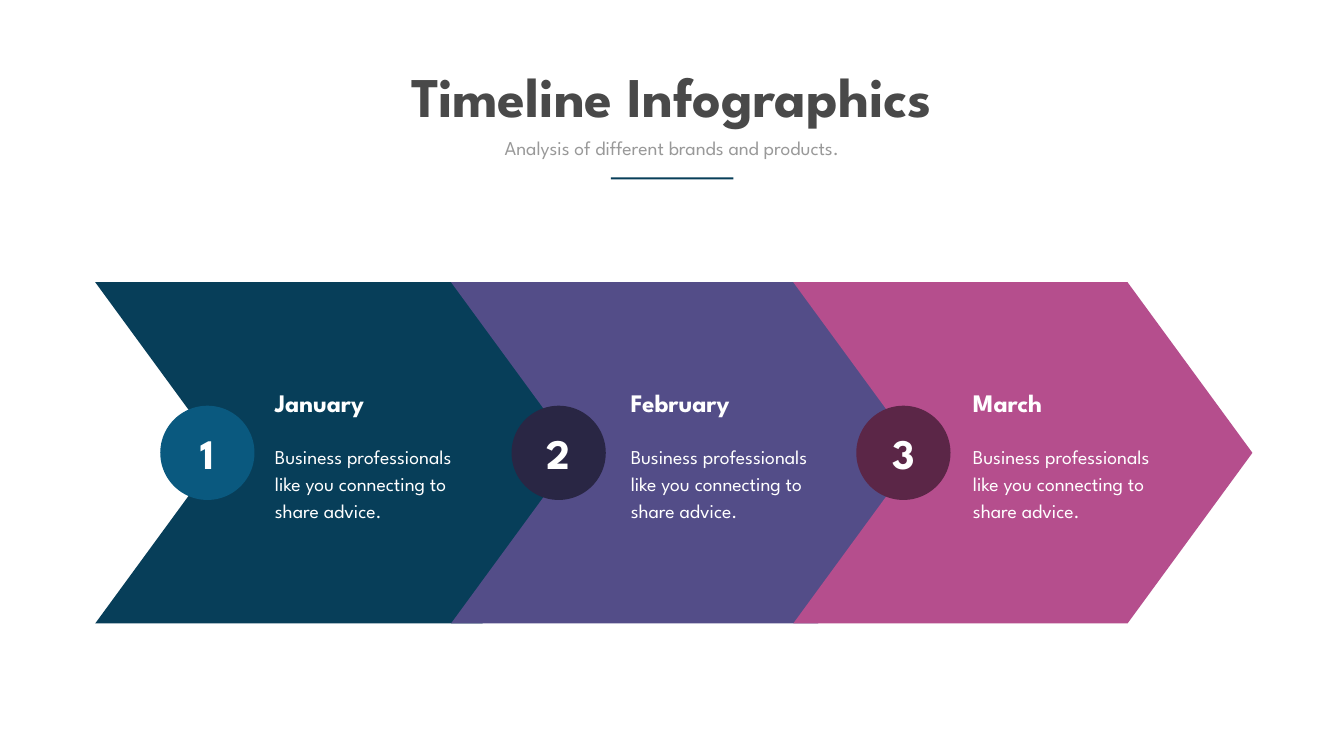
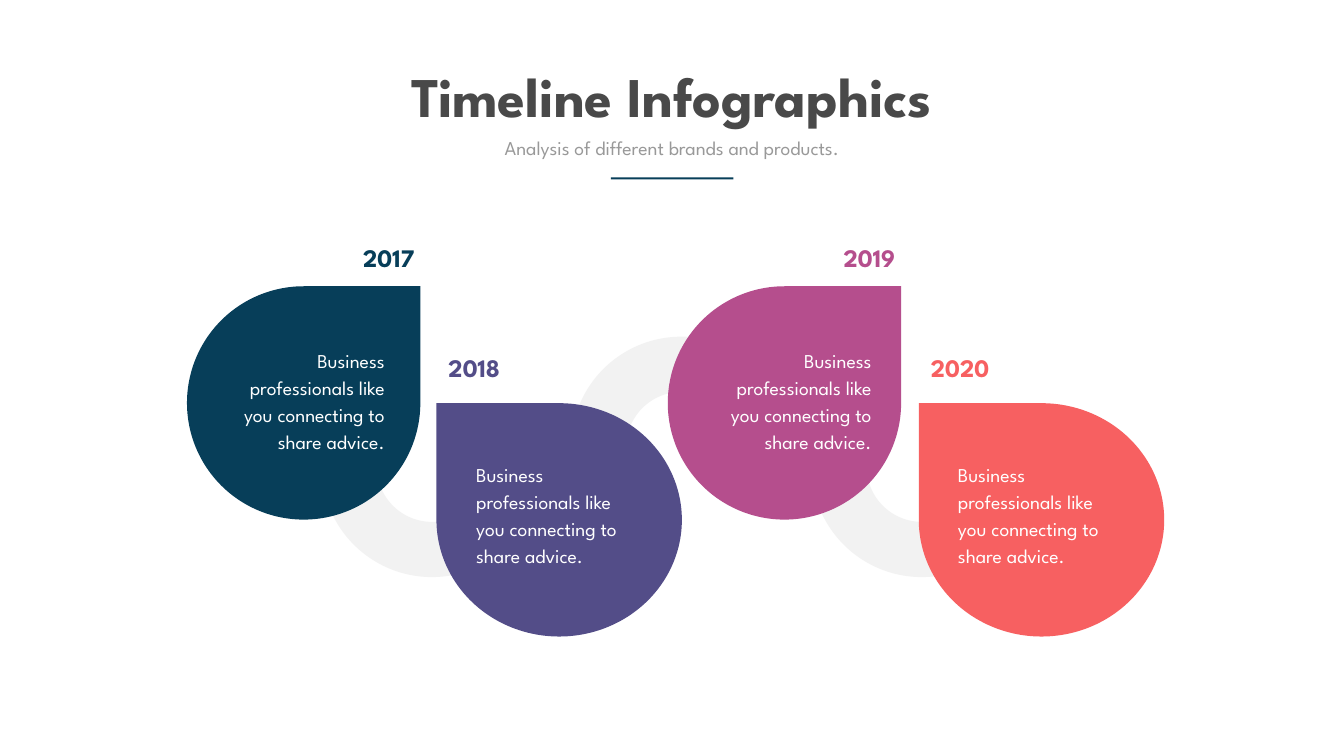
from dataclasses import dataclass

from pptx import Presentation
from pptx import util as u
from pptx.dml import color
from pptx.enum import shapes, text

WIDTH, HEIGHT = u.Inches(26.67), u.Inches(15)
COLUMNS, ROWS = 80, 45
FONT = "League Spartan"
NAVY, PURPLE, PINK, CORAL = "073E59", "534D88", "B54E8D", "F76061"
WHITE, TITLE_GREY, SUBTITLE_GREY, ARC_GREY = "FFFFFF", "494949", "999999", "F2F2F2"
ADVICE = "Business professionals like you connecting to share advice."
LEFT, CENTER, RIGHT = text.PP_ALIGN.LEFT, text.PP_ALIGN.CENTER, text.PP_ALIGN.RIGHT


@dataclass
class Box:
    left: float
    top: float
    width: float
    height: float

    def inner(self, left, top, width, height):
        return Box(self.left + left, self.top + top, width, height)

    def lengths(self):
        column, row = WIDTH / COLUMNS, HEIGHT / ROWS
        return (round(self.left * column), round(self.top * row),
                round(self.width * column), round(self.height * row))


def rgb(value):
    return color.RGBColor.from_string(value)


def place(shape, box):
    shape.left, shape.top, shape.width, shape.height = box.lengths()


def write(shape, words, size, ink, bold=False, align=LEFT, spacing=None,
          anchor=text.MSO_ANCHOR.TOP):
    frame = shape.text_frame
    frame.text = words
    frame.word_wrap = True
    frame.auto_size = text.MSO_AUTO_SIZE.NONE
    frame.vertical_anchor = anchor
    paragraph = frame.paragraphs[0]
    paragraph.alignment = align
    paragraph.space_before = u.Pt(0)
    if spacing:
        paragraph.line_spacing = u.Pt(spacing)
    font = paragraph.runs[0].font
    font.name, font.size, font.bold = FONT, u.Pt(size), bold
    font.color.rgb = rgb(ink)


def add_label(slide, box, words, size, ink, **style):
    write(slide.shapes.add_textbox(*box.lengths()), words, size, ink, **style)


def add_figure(slide, kind, box, fill):
    shape = slide.shapes.add_shape(kind, *box.lengths())
    shape.shadow.inherit = False
    shape.fill.solid()
    shape.fill.fore_color.rgb = rgb(fill)
    shape.line.fill.background()
    return shape


def add_header(slide, box):
    title, subtitle = slide.shapes.title, slide.placeholders[1]
    place(title, box.inner(0, 0, box.width, 4.35))
    write(title, "Timeline Infographics", 80, TITLE_GREY, bold=True, align=CENTER)
    place(subtitle, box.inner(3.24, 4.44, 28.68, 1.71))
    write(subtitle, "Analysis of different brands and products.", 28,
          SUBTITLE_GREY, align=CENTER)
    add_figure(slide, shapes.MSO_SHAPE.RECTANGLE,
               box.inner(13.95, 7.05, 7.29, 0.12), NAVY)


def add_chevron(slide, box, fill):
    chevron = add_figure(slide, shapes.MSO_SHAPE.CHEVRON, box, fill)
    chevron.adjustments[0] = 0.366


def add_month(slide, box, number, month, badge_left, badge_fill):
    badge = add_figure(slide, shapes.MSO_SHAPE.OVAL,
                       box.inner(badge_left, 7.35, 5.61, 5.61), badge_fill)
    write(badge, str(number), 60, WHITE, bold=True, align=CENTER,
          anchor=text.MSO_ANCHOR.MIDDLE)
    add_label(slide, box.inner(10.4, 6.12, 8.67, 2.13), month, 36, WHITE, bold=True)
    add_label(slide, box.inner(10.4, 9.3, 12.9, 5.07), ADVICE, 28, WHITE, spacing=38.6)


def add_year(slide, box, year, fill, raised, advice_left):
    drop = add_figure(slide, shapes.MSO_SHAPE.TEAR, box, fill)
    if raised:
        align, year_left, year_top, advice_top = RIGHT, 5.22, -2.76, 3.39
    else:
        align, year_left, year_top, advice_top = LEFT, 0.42, -3.18, 3.21
        drop.element.spPr.xfrm.set("flipH", "1")
    add_label(slide, box.inner(year_left, year_top, 8.61, 2.13), year, 36, fill,
              bold=True, align=align)
    add_label(slide, box.inner(advice_left, advice_top, 10.35, 6.66), ADVICE, 28,
              WHITE, align=align, spacing=38.6)


def add_timeline_slide(presentation):
    slide = presentation.slides.add_slide(presentation.slide_layouts[0])
    add_header(slide, Box(22.41, 3.51, 35.16, 7.17))
    return slide


def build_months(presentation):
    slide = add_timeline_slide(presentation)
    months = [
        ("January", 5.67, 30.48, NAVY, 3.87, "0A597F"),
        ("February", 26.85, 29.28, PURPLE, 3.6, "292644"),
        ("March", 47.22, 27.33, PINK, 3.75, "5B2647"),
    ]
    boxes = [Box(left, 16.8, width, 20.31) for _, left, width, *_ in months]
    for box, (_, _, _, fill, _, _) in zip(boxes, months):
        add_chevron(slide, box, fill)
    for number, (box, month) in enumerate(zip(boxes, months), 1):
        name, _, _, _, badge_left, badge_fill = month
        add_month(slide, box, number, name, badge_left, badge_fill)


def build_years(presentation):
    slide = add_timeline_slide(presentation)
    for left, top, rotation in [(33.99, 20.04, 326.8), (48.3, 21.21, 227.1),
                                (19.14, 21.21, 227.1)]:
        arc = add_figure(slide, shapes.MSO_SHAPE.BLOCK_ARC,
                         Box(left, top, 13.14, 13.14), ARC_GREY)
        arc.rotation = rotation
    years = [
        ("2017", 11.13, NAVY, 1.71),
        ("2018", 25.98, PURPLE, 2.07),
        ("2019", 39.75, PINK, 2.07),
        ("2020", 54.69, CORAL, 2.04),
    ]
    for index, (year, left, fill, advice_left) in enumerate(years):
        raised = index % 2 == 0
        top, width = (17.04, 13.89) if raised else (24, 14.61)
        add_year(slide, Box(left, top, width, 13.89), year, fill, raised, advice_left)


def main():
    presentation = Presentation()
    presentation.slide_width, presentation.slide_height = WIDTH, HEIGHT
    build_months(presentation)
    build_years(presentation)
    presentation.save("out.pptx")


if __name__ == "__main__":
    main()
